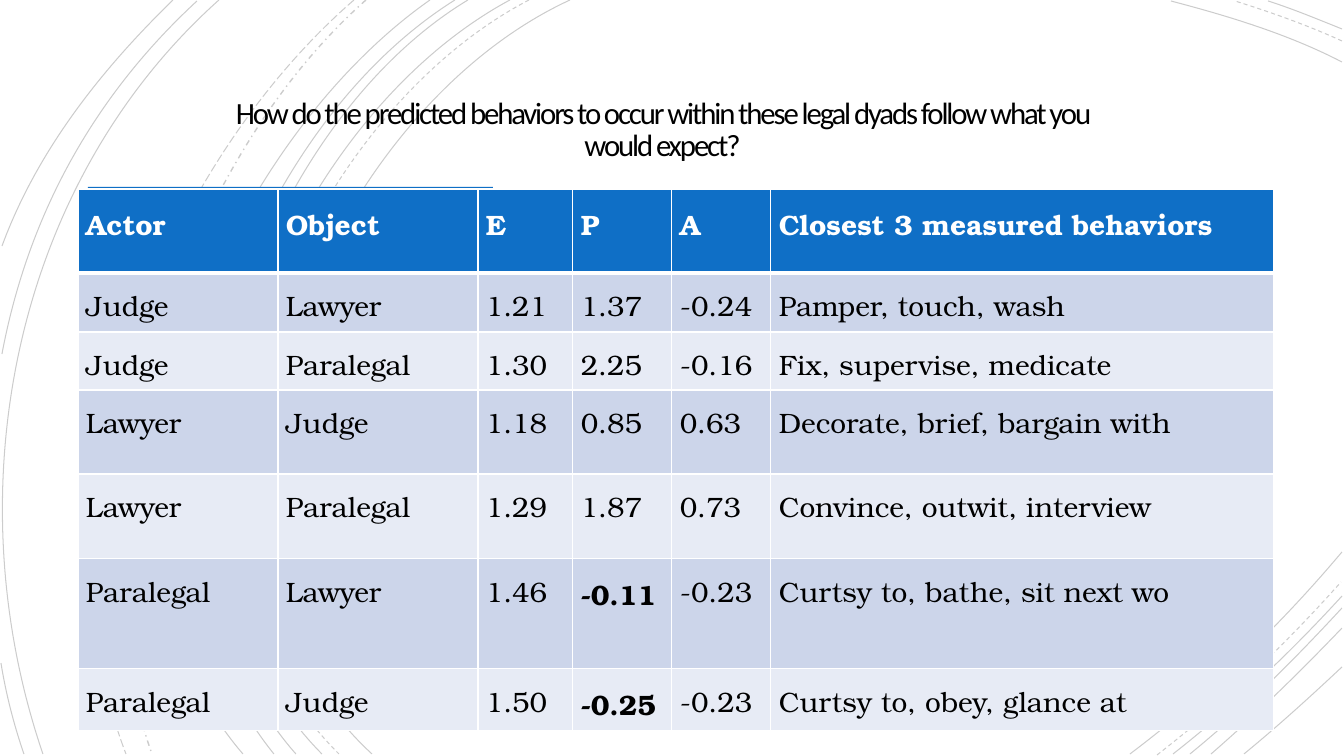
from lxml.etree import SubElement
from pptx import Presentation
from pptx.dml.color import RGBColor
from pptx.enum.dml import MSO_LINE
from pptx.enum.shapes import MSO_SHAPE
from pptx.enum.text import MSO_ANCHOR, PP_ALIGN
from pptx.oxml.ns import qn
from pptx.util import Emu, Pt

PX = 914400 / 100.8


def px(length):
    return Emu(round(length * PX))


def color(hex_code):
    return RGBColor.from_string(hex_code)


deck = Presentation()
deck.slide_width, deck.slide_height = px(1344), px(756)
slide = deck.slides.add_slide(deck.slide_layouts[6])

# Background arcs: start, two control points, end
SOLID, DASH = MSO_LINE.SOLID, MSO_LINE.DASH
arcs = [
    (570, 0, 318, 116, 144, 544, 372, 754, SOLID),
    (1342, 62, 1288, 34, 1228, 16, 1171, 1, SOLID),
    (1130, 754, 1207, 696, 1279, 627, 1342, 552, SOLID),
    (529, 0, 287, 126, 124, 541, 339, 754, DASH),
    (1342, 41, 1307, 25, 1270, 12, 1235, 1, DASH),
    (1157, 755, 1223, 704, 1285, 645, 1341, 582, DASH),
    (510, 0, 272, 128, 111, 541, 322, 754, SOLID),
    (1342, 29, 1317, 19, 1293, 9, 1268, 1, SOLID),
    (1173, 754, 1233, 707, 1290, 653, 1342, 596, SOLID),
    (468, 0, 246, 134, 111, 545, 296, 754, SOLID),
    (1190, 754, 1244, 710, 1294, 660, 1342, 608, SOLID),
    (455, 0, 233, 139, 98, 537, 274, 754, SOLID),
    (1211, 754, 1256, 715, 1300, 672, 1342, 628, SOLID),
    (430, 0, 219, 148, 53, 533, 243, 754, SOLID),
    (1244, 754, 1277, 727, 1309, 698, 1342, 667, SOLID),
    (366, 0, 177, 167, 66, 513, 152, 754, MSO_LINE.DASH_DOT),
    (354, 0, 158, 170, 29, 503, 126, 754, MSO_LINE.LONG_DASH),
    (219, 0, 11, 186, -46, 494, 43, 754, SOLID),
    (197, 1, 93, 97, 28, 216, 2, 354, SOLID),
    (1, 663, 6, 694, 14, 725, 24, 754, SOLID),
    (173, 0, 101, 70, 37, 151, 2, 246, SOLID),
]
for *coords, dash in arcs:
    start, *bends = [(px(x), px(y)) for x, y in zip(coords[::2], coords[1::2])]
    outline = slide.shapes.build_freeform(*start, scale=1.0)
    outline.add_line_segments(bends, close=False)
    arc = outline.convert_to_shape()
    # Merge the three straight segments into one Bézier curve
    segments = list(arc._element.spPr.iter(qn("a:lnTo")))
    curve = SubElement(segments[0].getparent(), qn("a:cubicBezTo"))
    for segment in segments:
        curve.append(segment[0])
        segment.getparent().remove(segment)
    arc.shadow.inherit = False
    arc.fill.background()
    arc.line.color.rgb = color("000000")
    arc.line.width = Pt(1 if dash == MSO_LINE.DASH_DOT else 0.75)
    arc.line.dash_style = dash
    for ink in arc._element.spPr.iter(qn("a:srgbClr")):
        SubElement(ink, qn("a:alpha"), val="20000")

# Accent bar showing above the table
accent = slide.shapes.add_shape(MSO_SHAPE.RECTANGLE, px(88), px(187), px(405), px(55))
accent.shadow.inherit = False
accent.fill.solid()
accent.fill.fore_color.rgb = color("0F6FC6")
accent.line.fill.background()

# Question
question = slide.shapes.add_textbox(px(184), px(73), px(957), px(116)).text_frame
question_format = {"word_wrap": True, "vertical_anchor": MSO_ANCHOR.MIDDLE,
                   "margin_left": px(25), "margin_right": px(25),
                   "margin_top": px(25), "margin_bottom": px(25)}
for key, value in question_format.items():
    setattr(question, key, value)
paragraph = question.paragraphs[0]
paragraph.alignment = PP_ALIGN.CENTER
paragraph.line_spacing = 0.85
run = paragraph.add_run()
run.text = ("How do the predicted behaviors to occur within these legal dyads "
            "follow what you would expect?")
run.font.name, run.font.size = "Calibri", Pt(22)
run.font.color.rgb = color("000000")
run._r.get_or_add_rPr().set("spc", "-150")

# Behaviors table
dyads = [
    ("Actor", "Object", "E", "P", "A", "Closest 3 measured behaviors"),
    ("Judge", "Lawyer", "1.21", "1.37", "-0.24", "Pamper, touch, wash"),
    ("Judge", "Paralegal", "1.30", "2.25", "-0.16", "Fix, supervise, medicate"),
    ("Lawyer", "Judge", "1.18", "0.85", "0.63", "Decorate, brief, bargain with"),
    ("Lawyer", "Paralegal", "1.29", "1.87", "0.73", "Convince, outwit, interview"),
    ("Paralegal", "Lawyer", "1.46", "-0.11", "-0.23", "Curtsy to, bathe, sit next wo"),
    ("Paralegal", "Judge", "1.50", "-0.25", "-0.23", "Curtsy to, obey, glance at"),
]
column_widths = [200, 200, 95, 99, 99, 503]
row_heights = [84, 59, 58, 84, 85, 110, 62]
behaviors = slide.shapes.add_table(len(dyads), len(column_widths), px(78), px(189),
                                   px(sum(column_widths)), px(sum(row_heights))).table
for column, width in zip(behaviors.columns, column_widths):
    column.width = px(width)
for row, height in zip(behaviors.rows, row_heights):
    row.height = px(height)

cell_margins = {f"margin_{side}": px(8) for side in ("left", "right", "top", "bottom")}
for r, dyad in enumerate(dyads):
    header = r == 0
    for c, entry in enumerate(dyad):
        cell = behaviors.cell(r, c)
        for key, value in cell_margins.items():
            setattr(cell, key, value)
        paragraph = cell.text_frame.paragraphs[0]
        paragraph.line_spacing = 1.15
        run = paragraph.add_run()
        run.text = entry
        negative_potency = c == 3 and entry.startswith("-")
        font_format = {"name": "TeX Gyre Bonum", "size": Pt(20),
                       "bold": header or negative_potency}
        for key, value in font_format.items():
            setattr(run.font, key, value)
        run.font.color.rgb = color("FFFFFF" if header else "000000")

        # White grid with a heavier rule under the header
        for edge in ("lnL", "lnR", "lnT", "lnB"):
            heavy = (r, edge) in ((0, "lnB"), (1, "lnT"))
            border = SubElement(cell._tc.get_or_add_tcPr(), qn(f"a:{edge}"),
                                w=str(Pt(3 if heavy else 1)))
            SubElement(SubElement(border, qn("a:solidFill")), qn("a:srgbClr"), val="FFFFFF")
        cell.fill.solid()
        cell.fill.fore_color.rgb = color(
            "0F6FC6" if header else "CCD5EA" if r % 2 else "E7EBF5")

deck.save("out.pptx")
